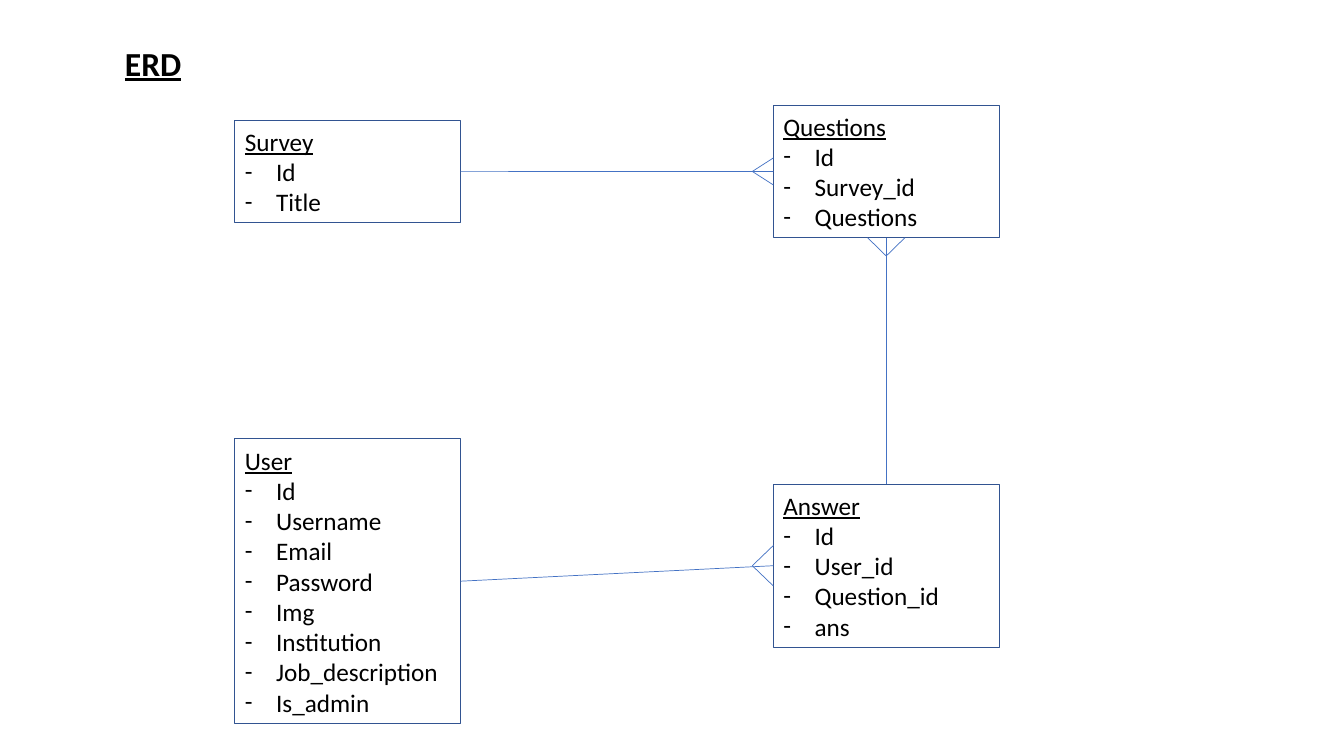
from lxml import etree
from pptx import Presentation
from pptx.dml.color import RGBColor
from pptx.enum.shapes import MSO_CONNECTOR, MSO_SHAPE
from pptx.enum.text import MSO_ANCHOR, MSO_AUTO_SIZE, PP_ALIGN
from pptx.oxml.ns import qn
from pptx.util import Cm, Pt

TITLE = "ERD"
LEFT_COL, RIGHT_COL = 5.92, 19.49
ENTITIES = {
    "User": (LEFT_COL, 11.05, ["Id", "Username", "Email", "Password", "Img",
                               "Institution", "Job_description", "Is_admin"]),
    "Survey": (LEFT_COL, 3.04, ["Id", "Title"]),
    "Questions": (RIGHT_COL, 2.65, ["Id", "Survey_id", "Questions"]),
    "Answer": (RIGHT_COL, 12.2, ["Id", "User_id", "Question_id", "ans"]),
}
TOP, LEFT, BOTTOM, RIGHT = range(4)
RELATIONS = [
    ("Survey", RIGHT, "Questions", LEFT, 0.53, 0.34),
    ("User", RIGHT, "Answer", LEFT, 0.53, 0.51),
    ("Answer", TOP, "Questions", BOTTOM, 0.46, 0.47),
]

BOX_W, ROW_H, BOX_PAD = 5.69, 0.77, 0.26
INDENT = Cm(0.79)
FONT = "Calibri"
BLACK = RGBColor(0x00, 0x00, 0x00)
BORDER = RGBColor(0x32, 0x54, 0x91)
LINK = RGBColor(0x44, 0x72, 0xC4)

prs = Presentation()
prs.slide_width, prs.slide_height = Cm(33.87), Cm(19.05)
s = prs.slides.add_slide(prs.slide_layouts[6])


def add_run(p, text, size, underline=False, bold=False):
    p.alignment = PP_ALIGN.LEFT
    r = p.add_run()
    r.text = text
    f = r.font
    f.name, f.size, f.bold, f.underline = FONT, Pt(size), bold, underline
    f.color.rgb = BLACK


def add_dash(p):
    pPr = p._p.get_or_add_pPr()
    pPr.set("marL", str(INDENT))
    pPr.set("indent", str(-INDENT))
    etree.SubElement(pPr, qn("a:buFont")).set("typeface", FONT)
    etree.SubElement(pPr, qn("a:buChar")).set("char", "-")


def add_entity(name, left, top, fields):
    height = BOX_PAD + ROW_H * (len(fields) + 1)
    sp = s.shapes.add_shape(MSO_SHAPE.RECTANGLE, Cm(left), Cm(top), Cm(BOX_W), Cm(height))
    sp.shadow.inherit = False
    sp.fill.background()
    sp.line.color.rgb = BORDER
    sp.line.width = Pt(0.75)
    tf = sp.text_frame
    tf.word_wrap = True
    tf.vertical_anchor = MSO_ANCHOR.MIDDLE
    tf.auto_size = MSO_AUTO_SIZE.SHAPE_TO_FIT_TEXT
    add_run(tf.paragraphs[0], name, 18, underline=True)
    for field in fields:
        p = tf.add_paragraph()
        add_run(p, field, 18)
        add_dash(p)
    return sp


def side_point(sp, side):
    mid_x, mid_y = sp.left + sp.width // 2, sp.top + sp.height // 2
    return {
        TOP: (mid_x, sp.top),
        LEFT: (sp.left, mid_y),
        BOTTOM: (mid_x, sp.top + sp.height),
        RIGHT: (sp.left + sp.width, mid_y),
    }[side]


def add_line(x1, y1, x2, y2):
    c = s.shapes.add_connector(MSO_CONNECTOR.STRAIGHT, x1, y1, x2, y2)
    c.line.color.rgb = LINK
    c.line.width = Pt(0.5)
    etree.SubElement(c._element.spPr, qn("a:effectLst"))
    return c


def add_relation(one, one_side, many, many_side, depth, spread):
    x, y = side_point(boxes[many], many_side)
    c = add_line(*side_point(boxes[one], one_side), x, y)
    c.begin_connect(boxes[one], one_side)
    c.end_connect(boxes[many], many_side)
    for offset in (-Cm(spread), Cm(spread)):
        if many_side == LEFT:
            add_line(x - Cm(depth), y, x, y + offset)
        else:
            add_line(x, y + Cm(depth), x + offset, y)


tb = s.shapes.add_textbox(Cm(2.9), Cm(0.95), Cm(6.05), Cm(1.28))
tb.text_frame.word_wrap = True
add_run(tb.text_frame.paragraphs[0], TITLE, 24, underline=True, bold=True)

boxes = {name: add_entity(name, *entity) for name, entity in ENTITIES.items()}
for relation in RELATIONS:
    add_relation(*relation)

prs.save("out.pptx")
